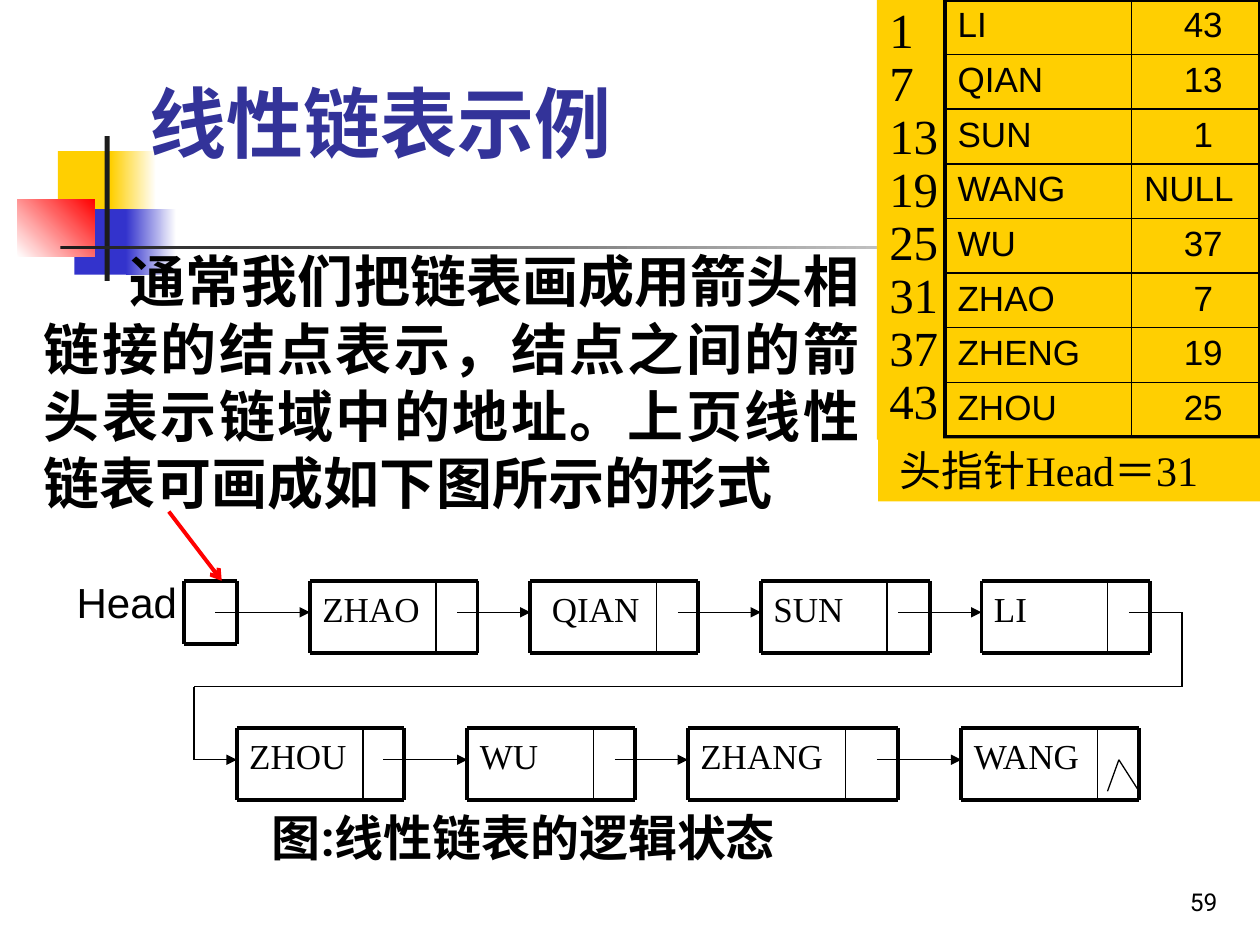
from lxml import etree
from pptx import Presentation, util as u
from pptx.dml.color import RGBColor
from pptx.enum import shapes, text
from pptx.oxml.ns import qn

PX = 9144  # 100 px to the inch
BLACK = RGBColor(0, 0, 0)
WHITE = RGBColor(255, 255, 255)
GOLD = RGBColor(0xFF, 0xCF, 0x01)
BLUE = RGBColor(0x33, 0x33, 0xCC)
NAVY = RGBColor(0x33, 0x33, 0x99)
RED = RGBColor(255, 0, 0)
DARK = RGBColor(0x1C, 0x1C, 0x1C)
SERIF, SANS, HEAD = "Times New Roman", "Arial", "Roboto"
LEFT, MID, RIGHT, JUST = (text.PP_ALIGN.LEFT, text.PP_ALIGN.CENTER,
                          text.PP_ALIGN.RIGHT, text.PP_ALIGN.JUSTIFY)
TOP, BASE = text.MSO_ANCHOR.TOP, text.MSO_ANCHOR.BOTTOM


def px(*vals):
    return [u.Emu(round(v * PX)) for v in vals]


def put(obj, **fmt):
    for key, val in fmt.items():
        setattr(obj, key, val)


def write(frame, lines, size, face, color=BLACK, bold=False, align=LEFT,
          anchor=TOP, gap=None, inset=10):
    """Fill a text frame, one paragraph for each line."""
    put(frame, word_wrap=True, vertical_anchor=anchor)
    left, side, edge = px(inset, 10, 5)
    put(frame, margin_left=left, margin_right=side, margin_top=edge,
        margin_bottom=edge)
    for i, line in enumerate(lines):
        par = frame.add_paragraph() if i else frame.paragraphs[0]
        put(par, alignment=align, line_spacing=gap)
        run = par.add_run()
        run.text = line
        put(run.font, size=u.Pt(size), name=face, bold=bold)
        run.font.color.rgb = color


def note(sld, box, line, size, face, **fmt):
    frame = sld.shapes.add_textbox(*px(*box)).text_frame
    write(frame, [line], size, face, **fmt)
    return frame


def block(sld, box, fill, fade=None, angle=0):
    """Rectangle with a plain or fading fill."""
    shp = sld.shapes.add_shape(shapes.MSO_SHAPE.RECTANGLE, *px(*box))
    shp.shadow.inherit = False
    shp.line.fill.background()
    if fade is not None:
        shp.fill.gradient()
        shp.fill.gradient_angle = angle
        for stop, tint in zip(shp.fill.gradient_stops, (fill, fade)):
            stop.color.rgb = tint
    else:
        shp.fill.solid()
        shp.fill.fore_color.rgb = fill
    return shp


def rule(sld, start, end, width=0.75, color=BLACK, tip=None):
    con = sld.shapes.add_connector(shapes.MSO_CONNECTOR.STRAIGHT,
                                   *px(*start, *end))
    con.line.width = u.Pt(width)
    con.line.color.rgb = color
    if tip:
        etree.SubElement(con.get_or_add_ln(), qn("a:tailEnd"), type=tip)
    etree.SubElement(con._element.spPr, qn("a:effectLst"))


def motif(sld, x, y):
    """Coloured squares and the crossing bars."""
    block(sld, (x + 32, y + 12, 48, 52), GOLD)
    block(sld, (x + 74, y + 12, 36, 52), GOLD, WHITE)
    block(sld, (x + 45, y + 58, 46, 52), BLUE)
    block(sld, (x + 86, y + 58, 40, 52), BLUE, WHITE)
    block(sld, (x, y + 50, 61, 46), WHITE, RED, 45)
    block(sld, (x + 69, y, 4, 115), DARK)
    block(sld, (x + 34, y + 87, 900, 3), DARK, WHITE)


def edges(cell, widths):
    props = cell._tc.get_or_add_tcPr()
    for side, width in zip("LRTB", widths):
        line = etree.SubElement(props, qn("a:ln" + side), w=str(u.Pt(width)))
        fill = etree.SubElement(line, qn("a:solidFill"))
        etree.SubElement(fill, qn("a:srgbClr"), val=str(BLACK))


def store(sld, x, y):
    """Storage table: addresses, names, links and the head pointer."""
    rows = [("LI", "43"), ("QIAN", "13"), ("SUN", "1"), ("WANG", "NULL"),
            ("WU", "37"), ("ZHAO", "7"), ("ZHENG", "19"), ("ZHOU", "25")]
    count = len(rows)
    back = block(sld, (x, y, 304, 349), GOLD)
    write(back.text_frame, [str(1 + 6 * i) for i in range(count)], 28, SERIF,
          align=JUST, gap=0.9)
    grid = sld.shapes.add_table(count, 2, *px(x + 54, y, 250, 347)).table
    put(grid, first_row=False, horz_banding=False)
    for col, width in zip(grid.columns, px(148, 102)):
        col.width = width
    for r, pair in enumerate(rows):
        grid.rows[r].height = px(347 / count)[0]
        for c, word in enumerate(pair):
            cell = grid.cell(r, c)
            digit = word.isdigit()
            write(cell.text_frame, [word], 20, SANS,
                  align=MID if digit else LEFT)
            left, side, edge = px(22 if digit else 10, 10, 5)
            put(cell, margin_left=left, margin_right=side, margin_top=edge,
                margin_bottom=edge, vertical_anchor=TOP)
            edges(cell, (1 if c else 2.25, 2.25 if c else 1,
                         1 if r else 2.25, 2.25 if r == count - 1 else 1))
            cell.fill.background()
    foot = block(sld, (x + 1, y + 348, 303, 50), GOLD)
    write(foot.text_frame, ["头指针Head＝31"], 24, SERIF, inset=17)


def frame(sld, x, y, width, high):
    """Four border lines of a node."""
    far, low = x + width, y + high
    for start, end in [((x, y), (far, y)), ((x, low), (far, low)),
                       ((x, y), (x, low)), ((far, y), (far, low))]:
        rule(sld, start, end, 2.25)


def chain(sld, x, y):
    """Linked nodes in two rows, with the head cell in front."""
    low, high, drop = 117, 57, 25
    # name, left, label width, full width, start of the link, inset
    tiers = [(0, 25, [("ZHAO", 100, 100, 133, 217, 10),
                      ("QIAN", 275, 100, 133, 392, 17),
                      ("SUN", 458, 100, 134, 567, 10),
                      ("LI", 633, 100, 134, 750, 10)]),
             (low, None, [("ZHOU", 42, 100, 133, 158, 10),
                          ("WU", 225, 100, 133, 342, 10),
                          ("ZHANG", 400, 125, 167, 550, 10),
                          ("WANG", 617, 108, 141, None, 10)])]
    note(sld, (x - 95, y - 8, 115, 51), "Head", 24, SANS)
    frame(sld, x, y, 42, 50)
    for down, link, nodes in tiers:
        top = y + down
        for name, left, label, width, out, inset in nodes:
            note(sld, (x + left, top, label, high), name, 20, SERIF,
                 inset=inset)
            frame(sld, x + left, top, width, high)
            bar = x + left + label
            rule(sld, (bar, top), (bar, top + high), 1)
            if link is not None:
                rule(sld, (x + link, top + drop), (x + left, top + drop),
                     tip="triangle")
            link = out

    # Link from the first row round to the second
    turn = low + drop
    path = [(750, drop), (792, drop), (792, 84), (8, 84), (8, turn),
            (42, turn)]
    for i, (a, b) in enumerate(zip(path, path[1:]), 2):
        rule(sld, (x + a[0], y + a[1]), (x + b[0], y + b[1]),
             tip="triangle" if i == len(path) else None)

    # Null mark in the last node, red pointer to the head cell
    for foot in (733, 758):
        rule(sld, (x + 742, y + turn), (x + foot, y + turn + 25))
    rule(sld, (x - 12, y - 55), (x + 30, y), 2.25, RED, "arrow")


def prose(sld, x, y):
    """Title, body, caption and page number."""
    note(sld, (x + 85, y, 945, 83), "线性链表示例", 44, HEAD, color=NAVY,
         bold=True, anchor=BASE)
    body = note(sld, (x + 1, y + 136, 667, 225),
                "通常我们把链表画成用箭头相链接的结点表示，结点之间的箭头"
                "表示链域中的地址。上页线性链表可画成如下图所示的形式",
                32, HEAD, bold=True, align=JUST)
    props = body.paragraphs[0]._p.get_or_add_pPr()
    props.set("indent", str(px(68)[0]))
    note(sld, (x + 182, y + 581, 484, 56), "图:线性链表的逻辑状态", 28, HEAD,
         bold=True)
    note(sld, (x + 744, y + 627, 208, 50), "59", 14, HEAD, align=RIGHT,
         anchor=BASE)


def main():
    prs = Presentation()
    prs.slide_width, prs.slide_height = px(1000, 750)
    sld = prs.slides.add_slide(prs.slide_layouts[6])
    motif(sld, 14, 108)
    store(sld, 696, 0)
    prose(sld, 24, 55)
    chain(sld, 146, 461)
    prs.save("out.pptx")


if __name__ == "__main__":
    main()
